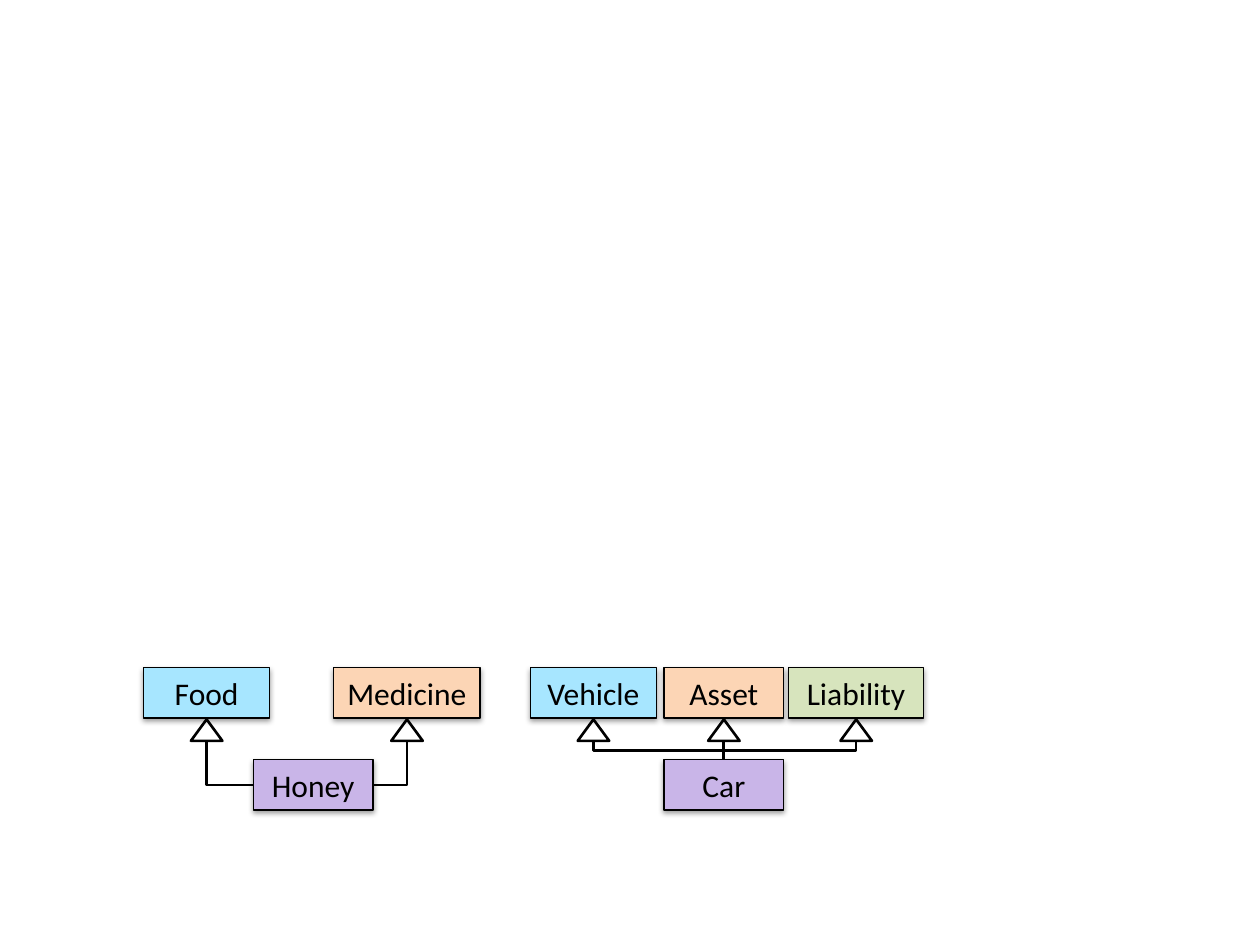
from lxml.etree import SubElement
from pptx import Presentation
from pptx.dml.color import RGBColor
from pptx.enum.shapes import MSO_CONNECTOR, MSO_SHAPE
from pptx.enum.text import MSO_ANCHOR, MSO_AUTO_SIZE, PP_ALIGN
from pptx.oxml.ns import qn
from pptx.util import Inches, Pt

BLUE, ORANGE, GREEN, PURPLE = "A7E6FF", "FCD5B5", "D7E4BD", "C9B5E8"
BLACK, WHITE = "000000", "FFFFFF"

HIERARCHIES = [
    {
        "child": ("Honey", 2.01, 0.95, PURPLE),
        "parents": [("Food", 1.14, 1.0, BLUE), ("Medicine", 2.65, 1.16, ORANGE)],
        "joins": "sides",
    },
    {
        "child": ("Car", 5.27, 0.95, PURPLE),
        "parents": [
            ("Vehicle", 4.21, 1.0, BLUE),
            ("Asset", 5.27, 0.95, ORANGE),
            ("Liability", 6.26, 1.07, GREEN),
        ],
        "joins": "top",
    },
]
PARENT_TOP, CHILD_TOP, BOX_HEIGHT = 5.3, 6.03, 0.4
ARROW_TOP, ARROW_WIDTH, ARROW_HEIGHT = 5.71, 0.25, 0.17
ARROW_BASE = ARROW_TOP + ARROW_HEIGHT


def color(value):
    return RGBColor.from_string(value)


def add_outlined(slide, kind, left, top, width, height, fill, line_width):
    shape = slide.shapes.add_shape(
        kind, Inches(left), Inches(top), Inches(width), Inches(height))
    shape.shadow.inherit = False
    shape.fill.solid()
    shape.fill.fore_color.rgb = color(fill)
    shape.line.color.rgb = color(BLACK)
    shape.line.width = Pt(line_width)
    return shape


def add_soft_shadow(shape):
    effects = shape.element.spPr.find(qn("a:effectLst"))
    shadow = SubElement(effects, qn("a:outerShdw"), blurRad="40000",
                        dist="20000", dir="5400000", rotWithShape="0")
    tint = SubElement(shadow, qn("a:srgbClr"), val=BLACK)
    SubElement(tint, qn("a:alpha"), val="38000")


def add_box(slide, box, top):
    label, left, width, fill = box
    shape = add_outlined(slide, MSO_SHAPE.RECTANGLE, left, top, width, BOX_HEIGHT, fill, 0.75)
    add_soft_shadow(shape)
    frame = shape.text_frame
    frame.text = label
    frame.word_wrap = False
    frame.auto_size = MSO_AUTO_SIZE.SHAPE_TO_FIT_TEXT
    frame.vertical_anchor = MSO_ANCHOR.MIDDLE
    paragraph = frame.paragraphs[0]
    paragraph.alignment = PP_ALIGN.CENTER
    font = paragraph.runs[0].font
    font.name, font.size = "Calibri", Pt(18)
    font.color.rgb = color(BLACK)


def add_elbow(slide, start_x, end_x, end_y, preset):
    length, spread = end_y - ARROW_BASE, abs(end_x - start_x)
    left = (start_x + end_x - length) / 2
    top = (ARROW_BASE + end_y - spread) / 2
    connector = slide.shapes.add_connector(
        MSO_CONNECTOR.ELBOW, Inches(left), Inches(top),
        Inches(left + length), Inches(top + spread))
    connector.line.color.rgb = color(BLACK)
    connector.line.width = Pt(1.5)
    properties = connector.element.spPr
    properties.find(qn("a:prstGeom")).set("prst", preset)
    SubElement(properties, qn("a:effectLst"))
    transform = properties.find(qn("a:xfrm"))
    if end_x < start_x:
        transform.set("rot", "5400000")
    else:
        transform.set("rot", "16200000")
        transform.set("flipH", "1")


def add_hierarchy(slide, hierarchy):
    child_left, child_width = hierarchy["child"][1:3]
    child_center = child_left + child_width / 2
    for parent in hierarchy["parents"]:
        center = parent[1] + parent[2] / 2
        if hierarchy["joins"] == "top":
            add_elbow(slide, center, child_center, CHILD_TOP, "bentConnector3")
        else:
            side = child_left if center < child_center else child_left + child_width
            add_elbow(slide, center, side, CHILD_TOP + BOX_HEIGHT / 2, "bentConnector2")
        add_outlined(slide, MSO_SHAPE.ISOSCELES_TRIANGLE, center - ARROW_WIDTH / 2,
                     ARROW_TOP, ARROW_WIDTH, ARROW_HEIGHT, WHITE, 1.5)
        add_box(slide, parent, PARENT_TOP)
    add_box(slide, hierarchy["child"], CHILD_TOP)


def main():
    presentation = Presentation()
    presentation.slide_width, presentation.slide_height = Inches(10), Inches(7.5)
    slide = presentation.slides.add_slide(presentation.slide_layouts[6])
    for hierarchy in HIERARCHIES:
        add_hierarchy(slide, hierarchy)
    presentation.save("out.pptx")


if __name__ == "__main__":
    main()
